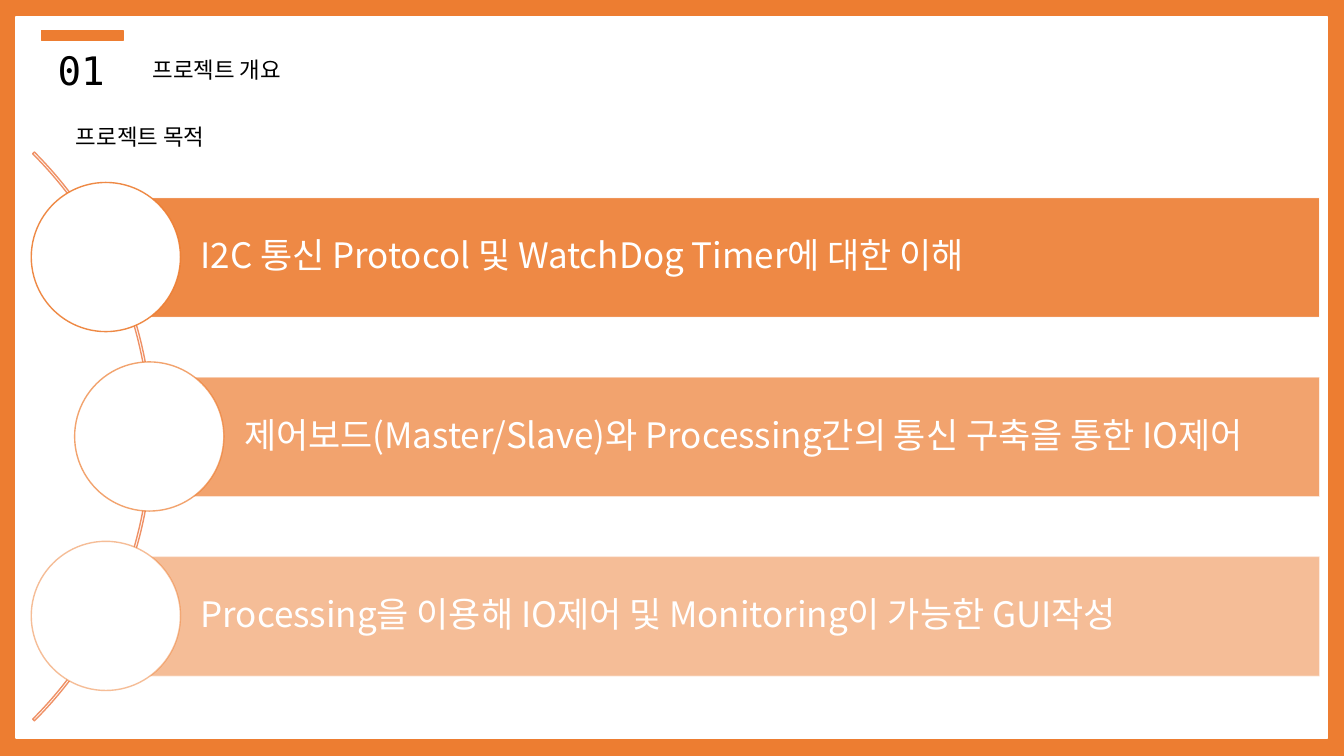
from lxml.etree import SubElement
from pptx import Presentation
from pptx.dml.color import RGBColor
from pptx.enum.shapes import MSO_SHAPE as Shape
from pptx.enum.text import MSO_ANCHOR as Anchor, MSO_AUTO_SIZE as AutoSize, PP_ALIGN as Align
from pptx.oxml.ns import qn
from pptx.util import Pt

PX = 9144
WIDTH, HEIGHT = 1333, 750
ORANGE = RGBColor(0xED, 0x7D, 0x31)
ARC_LINE = RGBColor(0xEF, 0x91, 0x66)
WHITE = RGBColor(0xFF, 0xFF, 0xFF)
BLACK = RGBColor(0x00, 0x00, 0x00)
KOREAN = "Noto Sans CJK KR"
MONO = "DejaVu Sans Mono"
GOALS = [
    ("I2C 통신 Protocol 및 WatchDog Timer에 대한 이해", 0, 90),
    ("제어보드(Master/Slave)와 Processing간의 통신 구축을 통한 IO제어", 43, 70),
    ("Processing을 이용해 IO제어 및 Monitoring이 가능한 GUI작성", 0, 50),
]


def scaled(*lengths):
    """Turn px lengths into EMU."""
    return [length * PX for length in lengths]


def paint(paint_format, color, opacity=100):
    """Apply a solid colour with an optional opacity in percent."""
    paint_format.solid()
    paint_format.fore_color.rgb = color
    if opacity < 100:
        for color_element in paint_format._xPr.iter(qn("a:srgbClr")):
            SubElement(color_element, qn("a:alpha"), val=str(opacity * 1000))


def add_block(slide, kind, box, fill=None, line=None, fill_opacity=100, line_opacity=100):
    """Add a preset shape with the given fill and outline."""
    shape = slide.shapes.add_shape(kind, *scaled(*box))
    shape.shadow.inherit = False
    if line is None:
        shape.line.fill.background()
    else:
        shape.line.width = Pt(1)
        paint(shape.line.fill, line, line_opacity)
    if fill is None:
        shape.fill.background()
    else:
        paint(shape.fill, fill, fill_opacity)
    return shape


def write(shape, text, size=16, font=KOREAN, color=BLACK, align=Align.CENTER, spacing=None):
    """Put one formatted line of text into a shape."""
    shape.text_frame.word_wrap = True
    paragraph = shape.text_frame.paragraphs[0]
    paragraph.alignment = align
    paragraph.line_spacing = spacing
    run = paragraph.add_run()
    run.text = text
    run.font.size = Pt(size)
    run.font.color.rgb = color
    run.font.name = font
    SubElement(run.font._element, qn("a:ea"), typeface=font)


def add_label(slide, box, text, **text_format):
    """Add a text box that grows with its text."""
    label = slide.shapes.add_textbox(*scaled(*box))
    write(label, text, **text_format)
    label.text_frame.auto_size = AutoSize.SHAPE_TO_FIT_TEXT


def add_frame(slide, width, height):
    """Draw the orange border around the white page."""
    add_block(slide, Shape.RECTANGLE, (0, 0, width, height), ORANGE)
    add_block(slide, Shape.RECTANGLE, (16, 17, width - 32, height - 35), WHITE, WHITE)


def add_header(slide, left, top):
    """Draw the section number, its accent bar and the titles."""
    add_label(slide, (left, top + 11, 117, 57), "01", size=28, font=MONO)
    add_block(slide, Shape.RECTANGLE, (left + 19, top, 81, 10), ORANGE, ORANGE)
    add_label(slide, (left + 59, top + 21, 268, 37), "프로젝트 개요")
    add_label(slide, (left - 17, top + 87, 268, 37), "프로젝트 목적")


def add_goal(slide, box, text, opacity):
    """Draw one goal as a bar that starts at the centre of a circle."""
    left, top, width, height = box
    diameter = 148
    radius = diameter // 2
    bar_box = (left + radius, top, width - radius, height)
    bar = add_block(slide, Shape.RECTANGLE, bar_box, ORANGE, WHITE, fill_opacity=opacity)
    frame = bar.text_frame
    frame.margin_left, frame.margin_top, frame.margin_right, frame.margin_bottom = scaled(94, 7, 7, 7)
    frame.vertical_anchor = Anchor.MIDDLE
    write(bar, text, size=25, color=WHITE, align=Align.LEFT, spacing=0.9)
    circle_box = (left, top - 15, diameter, diameter)
    add_block(slide, Shape.OVAL, circle_box, WHITE, ORANGE, line_opacity=opacity)


def add_goal_list(slide, left, top, width):
    """Draw the arc and the evenly spaced goals along it."""
    pitch, bar_height, arc_size = 178, 119, 798
    middle = top + pitch + bar_height // 2
    arc_box = (left - 678, middle - arc_size // 2, arc_size, arc_size)
    arc = add_block(slide, Shape.BLOCK_ARC, arc_box, line=ARC_LINE)
    for index, value in enumerate((189, 27, 0.003)):
        arc.adjustments[index] = value
    for index, (text, indent, opacity) in enumerate(GOALS):
        box = (left + indent, top + index * pitch, width - indent, bar_height)
        add_goal(slide, box, text, opacity)


def main():
    """Build the slide and save it."""
    presentation = Presentation()
    presentation.slide_width, presentation.slide_height = scaled(WIDTH, HEIGHT)
    slide = presentation.slides.add_slide(presentation.slide_layouts[6])
    add_frame(slide, WIDTH, HEIGHT)
    add_header(slide, 22, 30)
    add_goal_list(slide, 31, 196, 1278)
    presentation.save("out.pptx")


if __name__ == "__main__":
    main()
